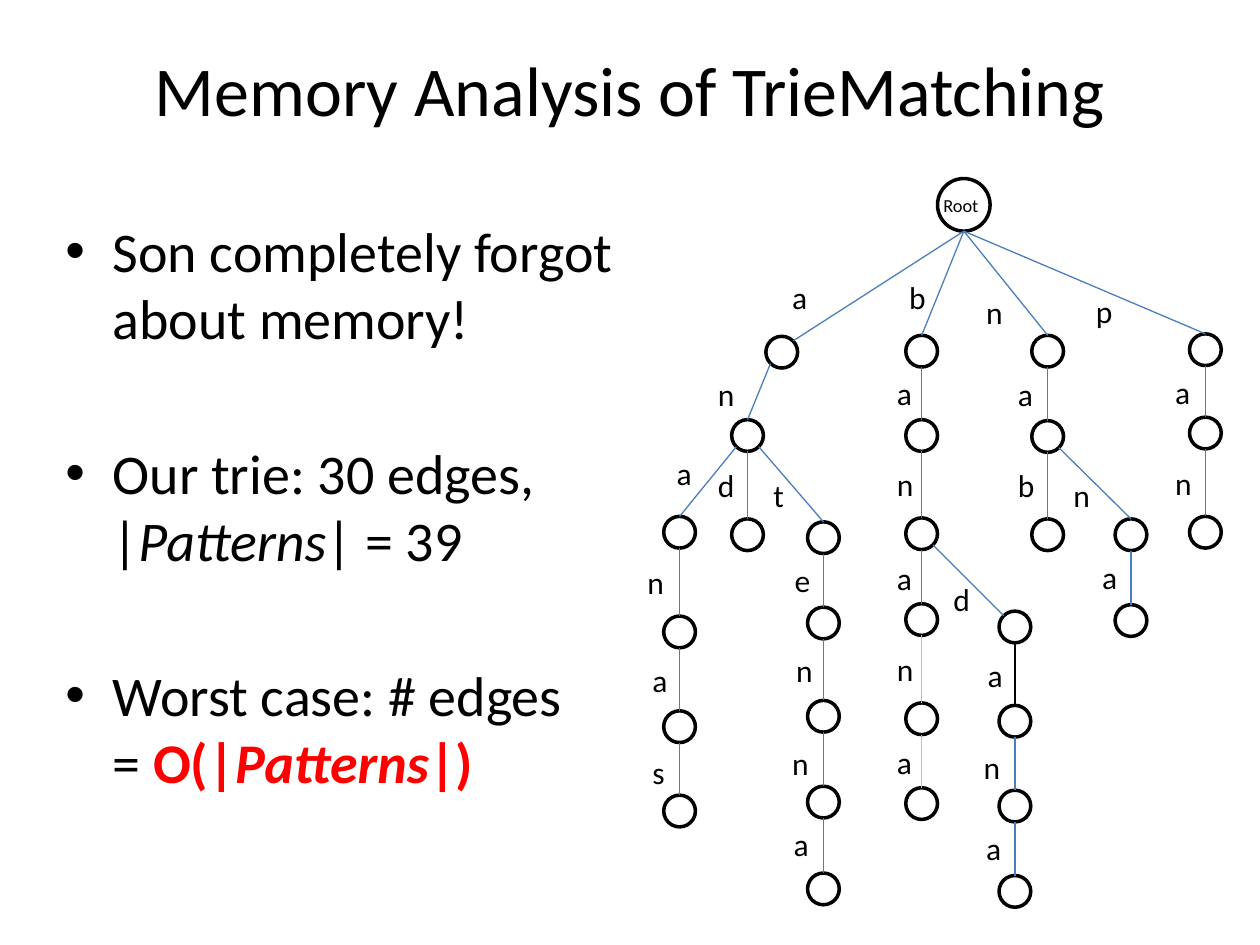
import math

from lxml import etree
from pptx import Presentation
from pptx.dml.color import RGBColor
from pptx.enum import shapes, text
from pptx.oxml.ns import qn
from pptx.util import Cm, Pt

BLACK = RGBColor(0, 0, 0)
WHITE = RGBColor(255, 255, 255)
RED = RGBColor(255, 0, 0)
BLUE = RGBColor(0x4B, 0x7E, 0xBC)
GREY = RGBColor(0xBF, 0xBF, 0xBF)

FONT = "Calibri"
ROOT_SIZE = 1.06
NODE_SIZE = 0.64
TOP, BOTTOM = 270, 90
LOWER_LEFT, LOWER_RIGHT = 135, 45
UPPER_LEFT, UPPER_RIGHT = 225, 315

# Prefix: node centre x, node top, edge label left, edge label top.
TRIE = {
    "a": (2.96, 3.18, 2.92, 1.89),
    "an": (2.27, 4.86, 1.42, 3.84),
    "ana": (0.9, 6.81, 0.59, 5.42),
    "anan": (0.9, 8.82, 0, 7.63),
    "anana": (0.9, 10.73, 0.1, 9.61),
    "ananas": (0.9, 12.43, 0.1, 11.46),
    "and": (2.27, 6.86, 1.42, 5.67),
    "ant": (3.8, 6.92, 2.54, 5.87),
    "ante": (3.8, 8.64, 2.97, 7.58),
    "anten": (3.8, 10.52, 3, 9.4),
    "antenn": (3.8, 12.25, 2.92, 11.28),
    "antenna": (3.8, 14, 2.95, 12.91),
    "b": (5.78, 3.16, 5.28, 1.89),
    "ba": (5.78, 4.86, 5.03, 3.82),
    "ban": (5.78, 6.84, 5.03, 5.65),
    "bana": (5.78, 8.57, 5.03, 7.55),
    "banan": (5.78, 10.57, 5.03, 9.38),
    "banana": (5.78, 12.28, 5.03, 11.26),
    "band": (7.66, 8.72, 6.17, 7.96),
    "banda": (7.66, 10.62, 6.86, 9.51),
    "bandan": (7.66, 12.33, 6.78, 11.36),
    "bandana": (7.66, 14.05, 6.83, 12.99),
    "n": (8.32, 3.16, 6.83, 2.19),
    "na": (8.32, 4.88, 7.47, 3.84),
    "nab": (8.32, 6.86, 7.47, 5.67),
    "nan": (10, 6.86, 8.59, 5.87),
    "nana": (10, 8.59, 9.17, 7.53),
    "p": (11.5, 3.13, 9.04, 2.17),
    "pa": (11.5, 4.81, 10.64, 3.79),
    "pan": (11.5, 6.81, 10.64, 5.62),
}
EDGE_ENDS = {
    "a": (BOTTOM, UPPER_RIGHT),
    "an": (LOWER_LEFT, TOP),
    "ana": (LOWER_LEFT, TOP),
    "ant": (LOWER_RIGHT, TOP),
    "band": (LOWER_RIGHT, UPPER_LEFT),
    "nan": (LOWER_RIGHT, TOP),
}
EDGE_COLORS = {"banan": GREY, "banana": GREY, "banda": BLACK}


def add_text(parent, left, top, width, height, words="", size=18, wrap=True):
    box = parent.shapes.add_textbox(Cm(left), Cm(top), Cm(width), Cm(height))
    box.text_frame.word_wrap = wrap
    para = box.text_frame.paragraphs[0]
    if words:
        para.text = words
    style(para, size)
    return box


def style(para, size):
    para.font.name = FONT
    para.font.size = Pt(size)
    para.font.color.rgb = BLACK


def add_title(page, left, top, width, height):
    box = add_text(page, left, top, width, height, "Memory Analysis of TrieMatching", 40)
    box.text_frame.vertical_anchor = text.MSO_ANCHOR.MIDDLE
    box.text_frame.paragraphs[0].alignment = text.PP_ALIGN.CENTER


def add_bullets(page, left, top, width, height):
    items = [
        ("Son completely forgot", [("about memory!", False, False)]),
        ("Our trie: 30 edges,",
         [("|", False, False), ("Patterns", True, False), ("| = 39", False, False)]),
        ("Worst case: # edges",
         [("= ", False, False), ("O(|", False, True), ("Patterns", True, True),
          ("|)", False, True)]),
    ]
    frame = add_text(page, left, top, width, height).text_frame
    for index, (first_line, spans) in enumerate(items):
        para = frame.add_paragraph() if index else frame.paragraphs[0]
        if index:
            para.space_before = Pt(50)
        props = para._p.get_or_add_pPr()
        props.set("marL", str(Cm(0.95)))
        props.set("indent", str(-Cm(0.95)))
        for old in props.findall(qn("a:defRPr")):
            props.remove(old)
        etree.SubElement(props, qn("a:buFont")).set("typeface", "Arial")
        etree.SubElement(props, qn("a:buChar")).set("char", "•")
        style(para, 32)
        para.add_run().text = first_line
        para.add_line_break()
        for words, italic, key in spans:
            span = para.add_run()
            span.text = words
            if italic:
                span.font.italic = True
            if key:
                span.font.bold = True
                span.font.color.rgb = RED


def add_node(group, center, top, size):
    node = group.shapes.add_shape(
        shapes.MSO_SHAPE.OVAL, Cm(center - size / 2), Cm(top), Cm(size), Cm(size))
    node.shadow.inherit = False
    node.fill.solid()
    node.fill.fore_color.rgb = WHITE
    node.line.color.rgb = BLACK
    node.line.width = Pt(2)


def rim_point(center, top, size, angle):
    radius = size / 2
    turn = math.radians(angle)
    return Cm(center + radius * math.cos(turn)), Cm(top + radius + radius * math.sin(turn))


def add_edge(group, start, end, color):
    edge = group.shapes.add_connector(shapes.MSO_CONNECTOR.STRAIGHT, *start, *end)
    edge.line.color.rgb = color
    edge.line.width = Pt(0.75)
    etree.SubElement(edge._element.spPr, qn("a:effectLst"))


def add_trie(page, left, top):
    group = page.shapes.add_group_shape()
    nodes = {"": (left + 6.63, top, ROOT_SIZE)}
    add_node(group, *nodes[""])
    add_text(group, left + 5.97, top + 0.18, 1.4, 0.71, "Root", 10.5)
    for prefix, (x, y, label_x, label_y) in TRIE.items():
        nodes[prefix] = (left + x, top + y, NODE_SIZE)
        leave, arrive = EDGE_ENDS.get(prefix, (BOTTOM, TOP))
        add_node(group, *nodes[prefix])
        add_edge(group, rim_point(*nodes[prefix[:-1]], leave),
                 rim_point(*nodes[prefix], arrive), EDGE_COLORS.get(prefix, BLUE))
        add_text(group, left + label_x, top + label_y, 0.86, 1.02, prefix[-1], wrap=False)


def main():
    deck = Presentation()
    deck.slide_width, deck.slide_height = Cm(25.4), Cm(19.05)
    page = deck.slides.add_slide(deck.slide_layouts[6])
    add_title(page, 1.27, 0.2, 22.86, 3.18)
    add_bullets(page, 1.07, 4.24, 22.86, 13.77)
    add_trie(page, 12.8, 3.6)
    deck.save("out.pptx")


if __name__ == "__main__":
    main()
